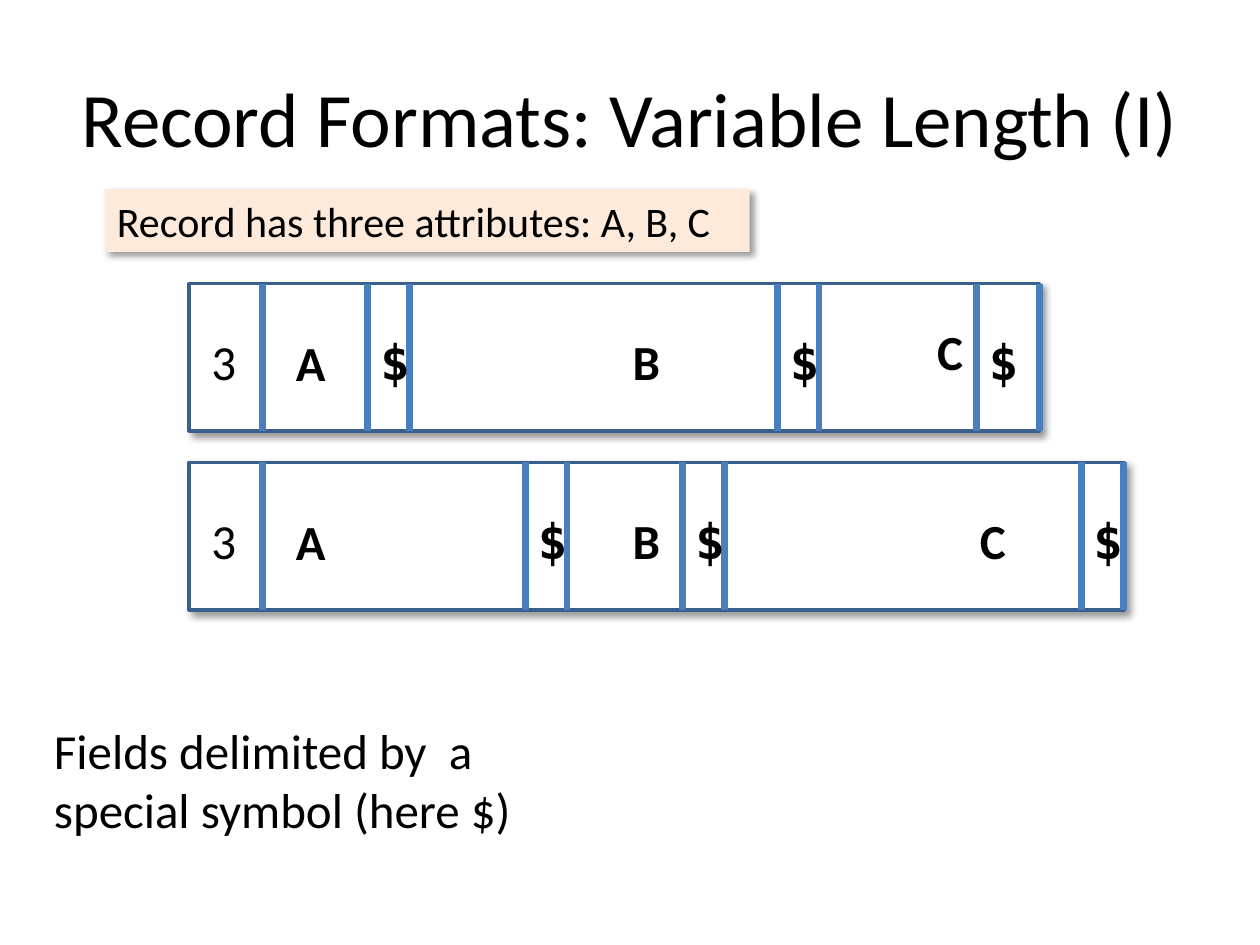
from lxml import etree
from pptx import Presentation
from pptx.dml.color import RGBColor
from pptx.enum import shapes, text
from pptx.oxml import parse_xml
from pptx.oxml.ns import nsdecls, qn
from pptx.util import Inches, Pt

SHADOW = (
    f'<a:effectLst {nsdecls("a")}><a:outerShdw blurRad="50800" dist="38100" '
    'dir="2700000" algn="tl" rotWithShape="0"><a:srgbClr val="000000">'
    '<a:alpha val="40000"/></a:srgbClr></a:outerShdw></a:effectLst>'
)


def color(value):
    """Turn a hex string into a colour."""
    return RGBColor.from_string(value)


def write(shape, words, size, bold=False, font="Calibri", align="LEFT", anchor="TOP"):
    """Put one wrapped black run into a shape."""
    frame = shape.text_frame
    frame.word_wrap = True
    frame.vertical_anchor = getattr(text.MSO_ANCHOR, anchor)
    paragraph = frame.paragraphs[0]
    paragraph.alignment = getattr(text.PP_ALIGN, align)
    run = paragraph.add_run()
    run.text = words
    run.font.size = Pt(size)
    run.font.bold = bold
    run.font.name = font
    run.font.color.rgb = color("000000")


presentation = Presentation()
presentation.slide_width = Inches(10)
presentation.slide_height = Inches(7.5)
slide = presentation.slides.add_slide(presentation.slide_layouts[6])

title = slide.shapes.add_textbox(Inches(0.5), Inches(0.3), Inches(9), Inches(1.25))
write(title, "Record Formats: Variable Length (I)", 44, align="CENTER", anchor="MIDDLE")

# Each record: top, right edge, delimiter cells (left, right), labels (left, top offset)
record_left, record_height, count_right = 1.5, 1.17, 2.08
records = [
    (2.25, 8.25, [(2.92, 3.25), (6.17, 6.5), (7.75, 8.25)],
     {"A": (2.25, 0.34), "B": (4.92, 0.33), "C": (7.33, 0.25)}),
    (3.67, 8.92, [(4.17, 4.5), (5.42, 5.75), (8.58, 8.92)],
     {"A": (2.25, 0.34), "B": (4.92, 0.33), "C": (7.67, 0.33)}),
]

for top, right, delimiters, labels in records:
    record = slide.shapes.add_shape(
        shapes.MSO_SHAPE.RECTANGLE, Inches(record_left), Inches(top),
        Inches(right - record_left), Inches(record_height))
    record.fill.solid()
    record.fill.fore_color.rgb = color("FFFFFF")
    record.line.color.rgb = color("3A5F8C")
    record.line.width = Pt(2)
    record._element.spPr.append(parse_xml(SHADOW))

    for x in [count_right] + [edge for cell in delimiters for edge in cell]:
        divider = slide.shapes.add_connector(
            shapes.MSO_CONNECTOR.STRAIGHT, Inches(x), Inches(top),
            Inches(x), Inches(top + record_height))
        divider.line.color.rgb = color("4B7EBC")
        divider.line.width = Pt(4)
        etree.SubElement(divider._element.spPr, qn("a:effectLst"))

    count = slide.shapes.add_textbox(
        Inches(1.58), Inches(top + 0.33), Inches(0.42), Inches(0.57))
    write(count, "3", 28)

    for name, (left, offset) in labels.items():
        label = slide.shapes.add_textbox(
            Inches(left), Inches(top + offset), Inches(0.42), Inches(0.57))
        write(label, name, 28, bold=True, align="CENTER")

    for left, end in delimiters:
        symbol = slide.shapes.add_textbox(
            Inches(left), Inches(top + 0.33), Inches(end - left), Inches(0.57))
        write(symbol, "$", 28, bold=True, font="DejaVu Sans Mono")

banner = slide.shapes.add_shape(
    shapes.MSO_SHAPE.RECTANGLE, Inches(0.83), Inches(1.5), Inches(5.12), Inches(0.5))
banner.fill.solid()
banner.fill.fore_color.rgb = color("FDEADA")
banner.line.fill.background()
banner._element.spPr.append(parse_xml(SHADOW))
write(banner, "Record has three attributes: A, B, C", 24)

note = slide.shapes.add_textbox(Inches(0.33), Inches(5.67), Inches(4.58), Inches(1.04))
write(note, "Fields delimited by  a special symbol (here $)", 28)

presentation.save("out.pptx")
